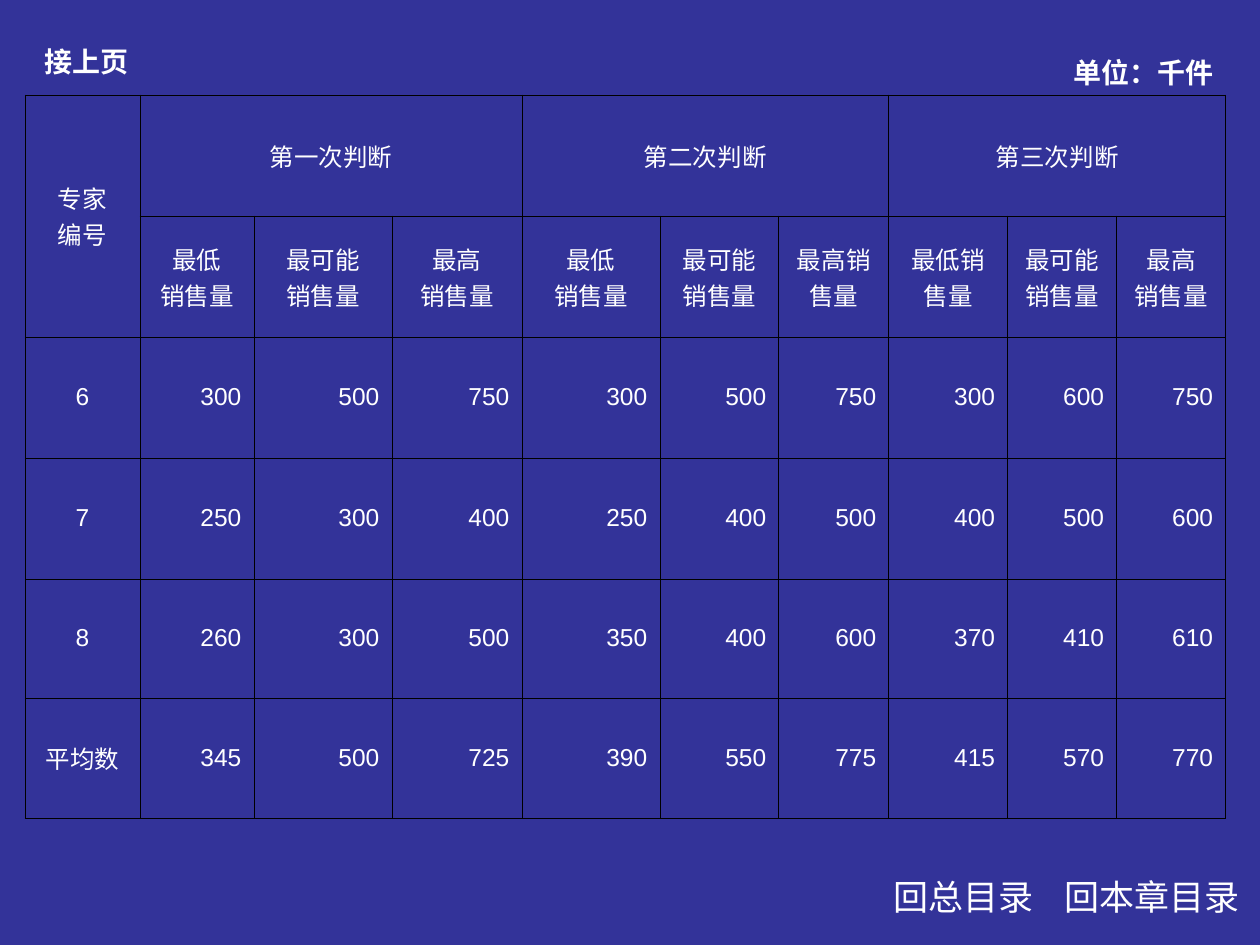
from dataclasses import dataclass
from typing import Any

from lxml import etree
from pptx import Presentation
from pptx.dml.color import RGBColor
from pptx.enum.text import MSO_ANCHOR, MSO_AUTO_SIZE, PP_ALIGN
from pptx.oxml.ns import qn
from pptx.util import Pt

LEFT, MID, RIGHT = PP_ALIGN.LEFT, PP_ALIGN.CENTER, PP_ALIGN.RIGHT
TOP, CENTRE = MSO_ANCHOR.TOP, MSO_ANCHOR.MIDDLE
GROW = MSO_AUTO_SIZE.SHAPE_TO_FIT_TEXT
SCALE = 914400 / 126
WHITE, BLACK, NAVY = "FFFFFF", "000000", "333399"
THIN, EDGE = 0.34, 0.45

COLS = [115, 114, 138, 130, 138, 119, 110, 119, 109, 109]
ROWS = [121, 121, 121, 121, 119, 120]
GROUPS = ["第一次判断", "第二次判断", "第三次判断"]
LOW, LIKELY, HIGH = "最低\n销售量", "最可能\n销售量", "最高\n销售量"
HEADS = [LOW, LIKELY, HIGH, LOW, LIKELY, "最高销\n售量", "最低销\n售量", LIKELY, HIGH]
DATA = [
    ("6", 300, 500, 750, 300, 500, 750, 300, 600, 750),
    ("7", 250, 300, 400, 250, 400, 500, 400, 500, 600),
    ("8", 260, 300, 500, 350, 400, 600, 370, 410, 610),
    ("平均数", 345, 500, 725, 390, 550, 775, 415, 570, 770),
]


@dataclass
class Label:
    text: str
    x: int
    y: int
    w: int
    h: int
    size: int
    bold: bool
    inset: int
    before: float
    align: Any = LEFT


TITLE = Label("接上页", 32, 42, 315, 43, 16, True, 13, 10)
LABELS = [
    Label("单位：千件", 1061, 53, 199, 43, 16, True, 13, 10),
    Label("回总目录", 874, 874, 179, 50, 20, False, 0, 12.5, MID),
    Label("回本章目录", 1064, 874, 184, 50, 20, False, 0, 12.5),
]


def px(count: int) -> int:
    return round(count * SCALE)


def hue(code: str) -> RGBColor:
    return RGBColor.from_string(code)


def apply(item: Any, form: dict[str, Any]) -> None:
    for key, value in form.items():
        setattr(item, key, value)


def write(frame: Any, text: str, para: dict[str, Any], font: dict[str, Any]) -> None:
    frame.text = text
    for part in frame.paragraphs:
        apply(part, para)
        for run in part.runs:
            apply(run.font, font)
            run.font.color.rgb = hue(WHITE)


def place(shape: Any, label: Label) -> None:
    apply(shape, {"left": px(label.x), "top": px(label.y),
                  "width": px(label.w), "height": px(label.h)})
    apply(shape.text_frame, {
        "word_wrap": True, "auto_size": GROW, "vertical_anchor": TOP,
        "margin_left": px(label.inset), "margin_right": px(label.inset),
        "margin_top": px(6), "margin_bottom": px(6)})
    write(shape.text_frame, label.text,
          {"alignment": label.align, "line_spacing": 0.9,
           "space_before": Pt(label.before)},
          {"name": "Times New Roman", "size": Pt(label.size), "bold": label.bold})


def rule(cell: Any, sides: dict[str, float]) -> None:
    props = cell._tc.get_or_add_tcPr()
    for spot, (side, width) in enumerate(sides.items()):
        line = etree.Element(qn(f"a:ln{side}"), w=str(Pt(width)))
        fill = etree.SubElement(line, qn("a:solidFill"))
        etree.SubElement(fill, qn("a:srgbClr"), val=BLACK)
        props.insert(spot, line)


def build(slide: Any) -> None:
    table = slide.shapes.add_table(len(ROWS), len(COLS), px(25), px(95),
                                   px(sum(COLS)), px(sum(ROWS))).table
    apply(table, {"first_row": False, "horz_banding": False})
    for col, width in zip(table.columns, COLS):
        col.width = px(width)
    for row, height in zip(table.rows, ROWS):
        row.height = px(height)

    tops = [word for group in GROUPS for word in (group, "", "")]
    grid = [("专家\n编号", *tops), ("", *HEADS), *DATA]
    last = len(COLS) - 1
    for r, line in enumerate(grid):
        for c, value in enumerate(line):
            cell = table.cell(r, c)
            cell.vertical_anchor = CENTRE
            cell.fill.background()
            rule(cell, {"L": EDGE if c else THIN,
                        "R": THIN if c == last else EDGE, "T": EDGE, "B": EDGE})
            write(cell.text_frame, str(value),
                  {"alignment": RIGHT if r > 1 and c else MID},
                  {"name": "Arial", "size": Pt(14), "bold": False})

    table.cell(0, 0).merge(table.cell(1, 0))
    for c in range(1, last, 3):
        table.cell(0, c).merge(table.cell(0, c + 2))


def main() -> None:
    deck = Presentation()
    apply(deck, {"slide_width": px(1260), "slide_height": px(945)})
    slide = deck.slides.add_slide(deck.slide_layouts[5])
    back = slide.background.fill
    back.solid()
    back.fore_color.rgb = hue(NAVY)
    build(slide)
    place(slide.shapes.title, TITLE)
    for label in LABELS:
        place(slide.shapes.add_textbox(0, 0, 0, 0), label)
    deck.save("out.pptx")


if __name__ == "__main__":
    main()
